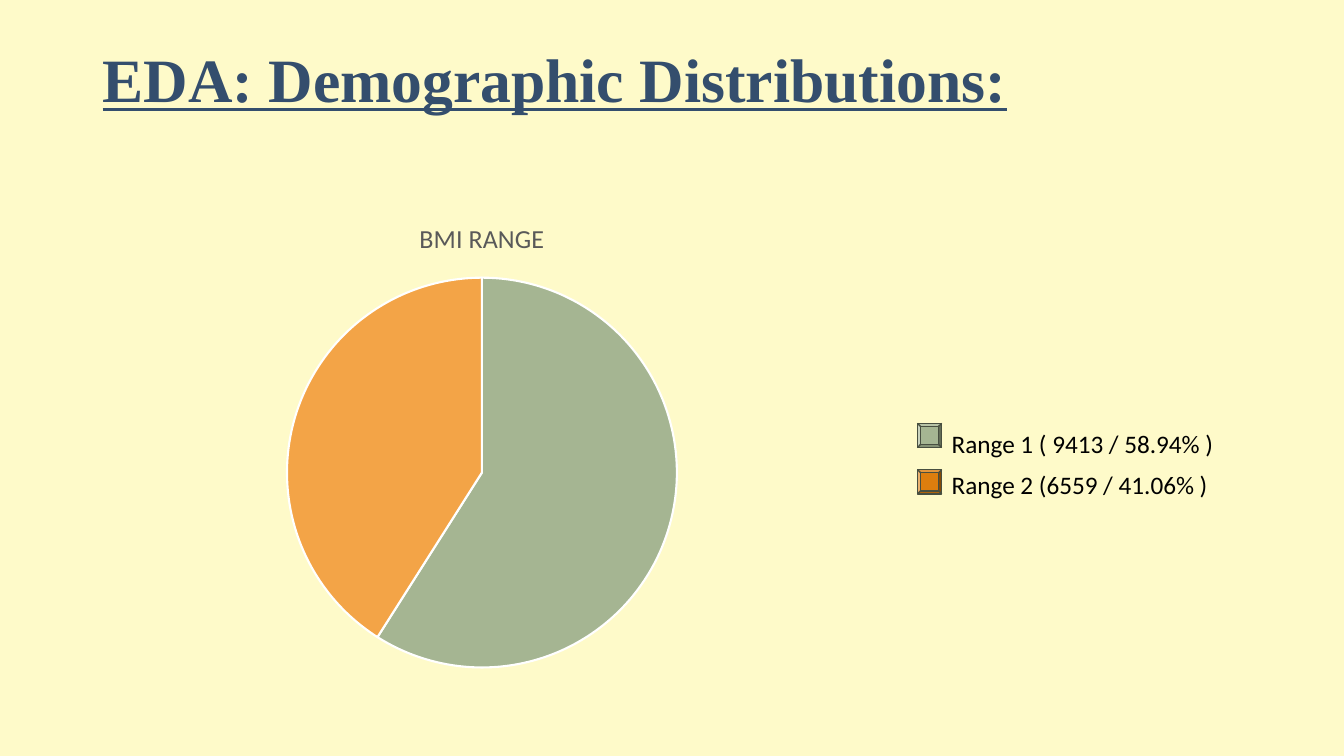
from pptx import Presentation
from pptx.chart.data import CategoryChartData
from pptx.dml.color import RGBColor
from pptx.enum.chart import XL_CHART_TYPE as Kind
from pptx.enum.shapes import MSO_SHAPE as Shape
from pptx.enum.text import MSO_ANCHOR as Anchor
from pptx.util import Inches, Pt

CREAM = RGBColor(0xFE, 0xFA, 0xC9)
NAVY = RGBColor(0x34, 0x4E, 0x6D)
GREY = RGBColor(0x59, 0x59, 0x59)
BLACK = RGBColor(0, 0, 0)
WHITE = RGBColor(0xFF, 0xFF, 0xFF)
SAGE = RGBColor(0xA5, 0xB5, 0x92)
AMBER = RGBColor(0xF3, 0xA4, 0x47)
RUST = RGBColor(0xDD, 0x7E, 0x0E)
EDGE = RGBColor(0x48, 0x4F, 0x40)


def style(font, face, size, color, bold=False):
    """Set the face, size, colour and weight of a font."""
    font.name, font.size, font.bold = face, Pt(size), bold
    font.color.rgb = color


def add_text(slide, box, text):
    """Place a wrapped text box and return its frame."""
    frame = slide.shapes.add_textbox(*map(Inches, box)).text_frame
    frame.word_wrap = True
    frame.text = text
    return frame


def add_title(slide, box):
    """Place the underlined slide title at the top of its box."""
    frame = add_text(slide, box, "EDA: Demographic Distributions:")
    frame.vertical_anchor = Anchor.TOP
    frame.margin_top = Inches(0.09)
    line = frame.paragraphs[0]
    line.line_spacing = 0.9
    style(line.font, "Times New Roman", 44, NAVY, True)
    line.font.underline = True


def add_pie(slide, box):
    """Place the pie chart of the BMI ranges."""
    data = CategoryChartData()
    data.categories = ["1", "2"]
    data.add_series("BMI RANGE", (59, 41))
    chart = slide.shapes.add_chart(Kind.PIE, *map(Inches, box), data).chart
    style(chart.font, "Calibri", 10, BLACK)
    chart.has_legend = False
    chart.has_title = True
    head = chart.chart_title.text_frame
    head.text = "BMI RANGE"
    style(head.paragraphs[0].font, "Calibri", 18.6, GREY)
    plot = chart.plots[0]
    plot.vary_by_categories = True
    for i, color in enumerate((SAGE, AMBER)):
        part = plot.series[0].points[i].format
        part.fill.solid()
        part.fill.fore_color.rgb = color
        part.line.color.rgb = WHITE
        part.line.width = Pt(1.5)


def add_key(slide, box):
    """Place the bevelled key squares with their labels."""
    left, top, width, height = box
    side, label = 0.24, 0.4
    rows = (("Range 1 ( 9413 / 58.94% )", SAGE, 0),
            ("Range 2 (6559 / 41.06% )", RUST, height - label))
    for i, (text, color, drop) in enumerate(rows):
        spot = (left, top + i * 0.46, side, side)
        mark = slide.shapes.add_shape(Shape.BEVEL, *map(Inches, spot))
        mark.shadow.inherit = False
        mark.fill.solid()
        mark.fill.fore_color.rgb = color
        mark.line.color.rgb = EDGE
        mark.line.width = Pt(1)
        frame = add_text(
            slide, (left + side, top + drop, width - side, label), text)
        style(frame.paragraphs[0].font, "Calibri", 18, BLACK)


def main():
    """Build the slide and save it."""
    deck = Presentation()
    deck.slide_width, deck.slide_height = Inches(13.33), Inches(7.5)
    slide = deck.slides.add_slide(deck.slide_layouts[6])
    back = slide.background.fill
    back.solid()
    back.fore_color.rgb = CREAM
    add_title(slide, (0.92, 0.4, 11.5, 1.45))
    add_pie(slide, (0.92, 1.99, 7.72, 4.77))
    add_key(slide, (9.1, 4.2, 3.22, 0.81))
    deck.save("out.pptx")


if __name__ == "__main__":
    main()
